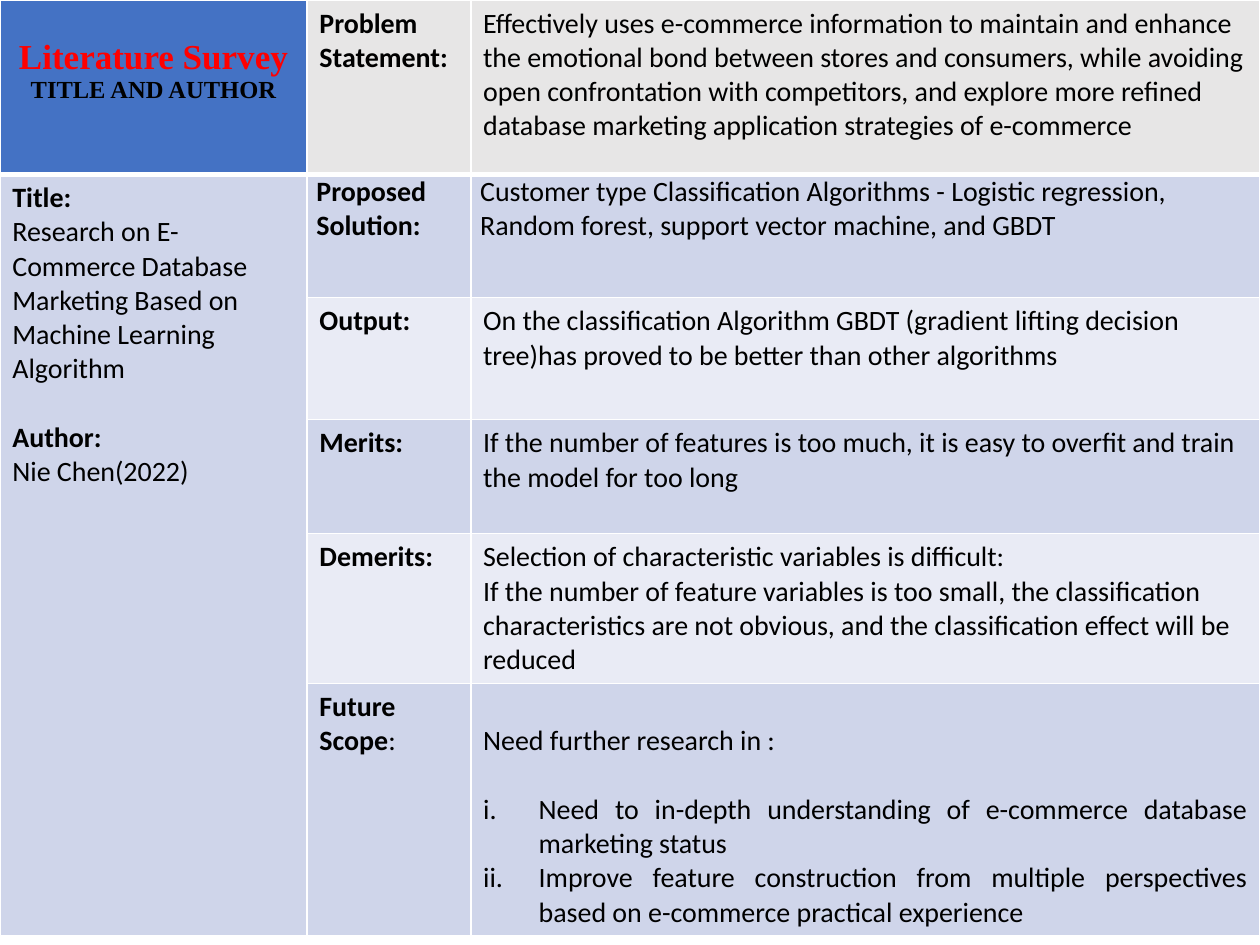
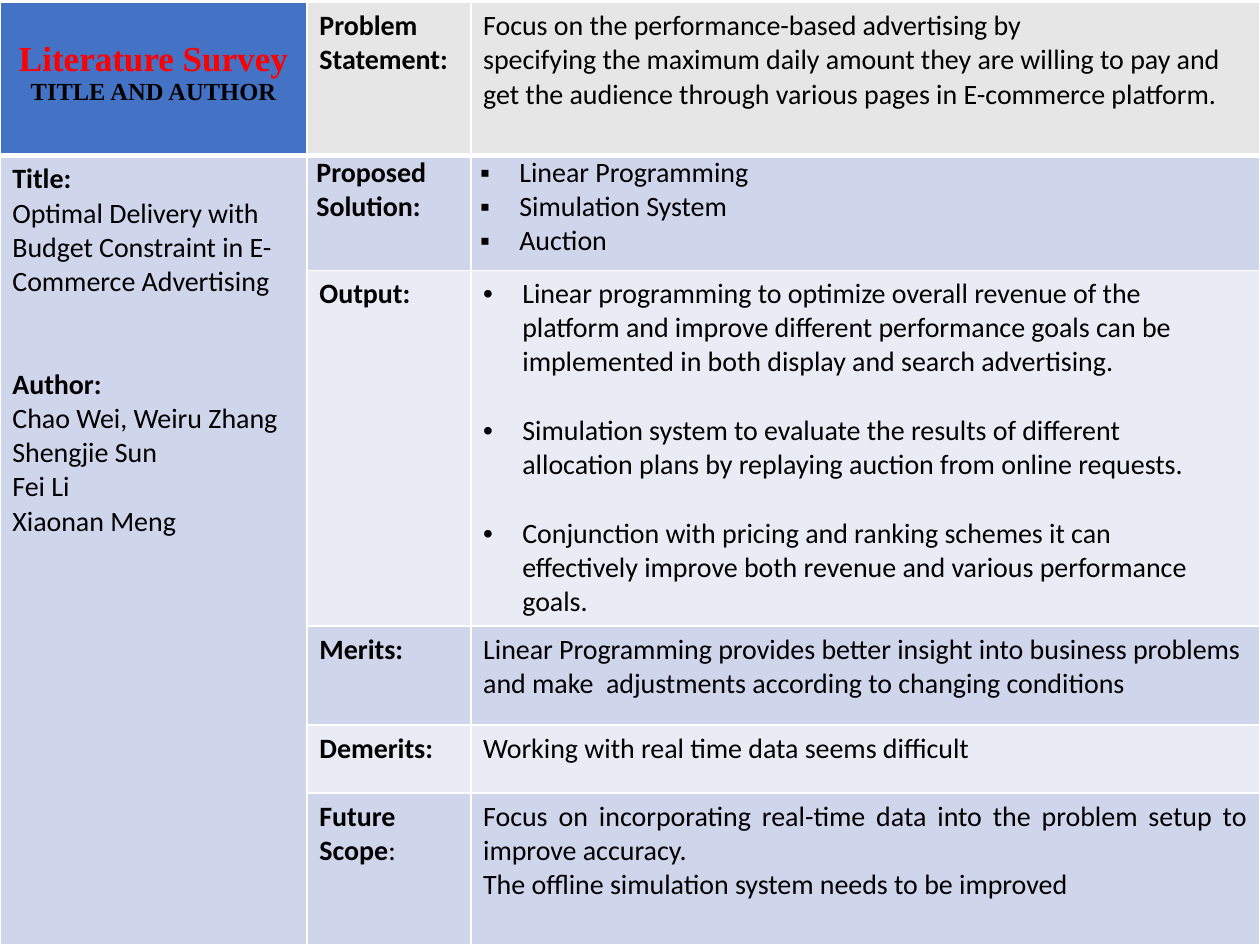
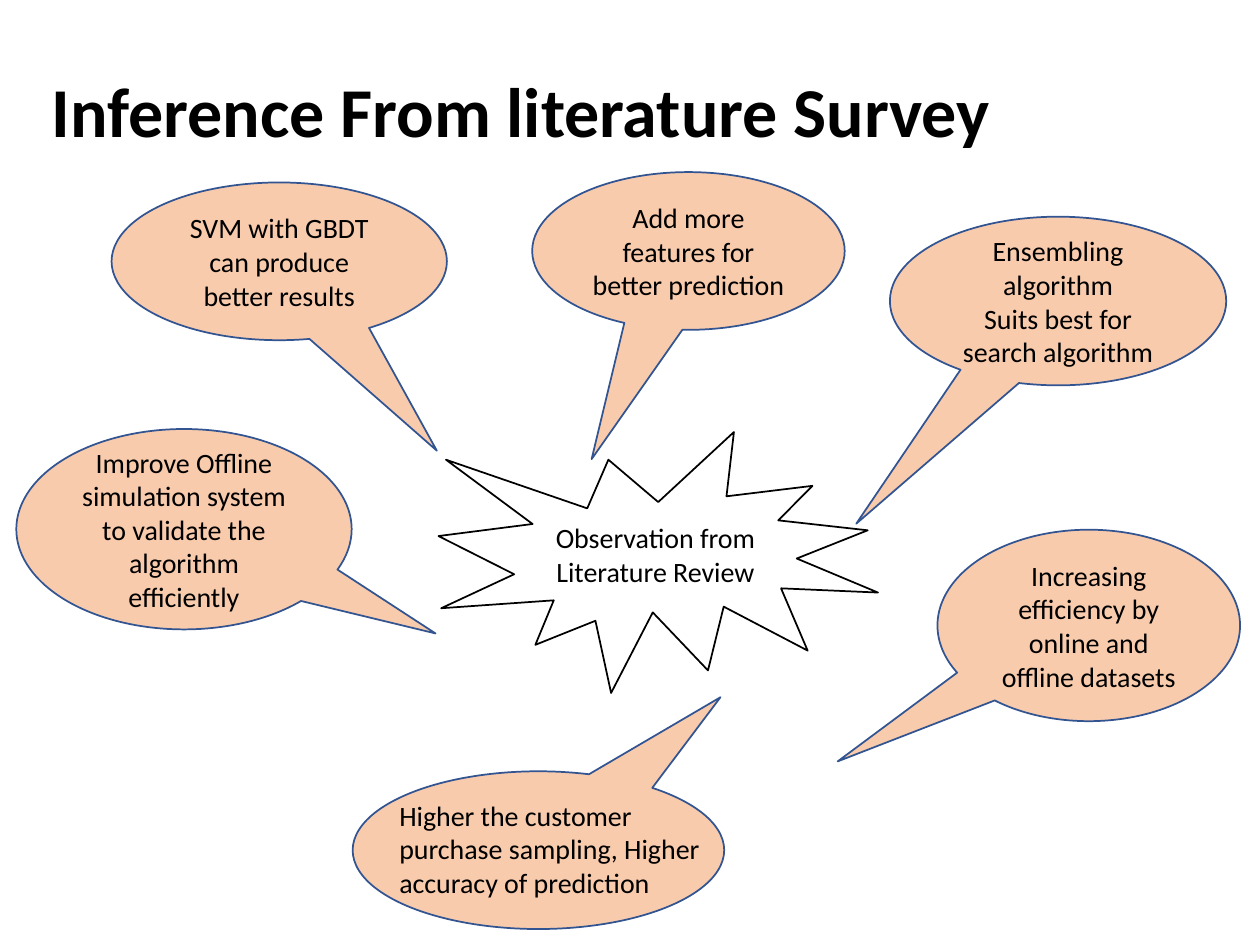
from lxml import etree
from pptx import Presentation
from pptx import util as u
from pptx.dml.color import RGBColor
from pptx.enum import shapes, text
from pptx.oxml import ns

BLACK = RGBColor(0x00, 0x00, 0x00)
WHITE = RGBColor(0xFF, 0xFF, 0xFF)
RED = RGBColor(0xFF, 0x00, 0x00)
BLUE = RGBColor(0x44, 0x72, 0xC4)
GREY = RGBColor(0xE7, 0xE6, 0xE6)
BAND_DARK = RGBColor(0xCF, 0xD5, 0xEA)
BAND_LIGHT = RGBColor(0xE9, 0xEB, 0xF5)
PEACH = RGBColor(0xF8, 0xCB, 0xAD)
NAVY = RGBColor(0x32, 0x54, 0x91)

CENTER = text.PP_ALIGN.CENTER
JUSTIFY = text.PP_ALIGN.JUSTIFY
HARD_SPACE = chr(160)
LINE = 0.69  # height of one 16 pt line, in cm
COLUMNS = (6.19, 3.3, 15.91)
SQUARES = {"bullet": "▪", "indent": 0.79}
DOTS = {"bullet": "•", "indent": 0.79}
ROMAN = {"bullet": "roman", "indent": 1.12, "align": JUSTIFY}


def write(frame, words, size=16, bold=False, color=BLACK, font="Calibri",
          align=None, before=0, spacing=None, bullet=None, indent=0, tail=""):
    """Add a paragraph; ~ joins words that stay on one line, tail is regular."""
    first = frame.paragraphs[0]
    para = frame.add_paragraph() if first.runs else first
    para.alignment = align
    para.space_before = u.Cm(before)
    if spacing:
        para.line_spacing = spacing
    for part, weight in ((words, bold), (tail, False)):
        if part:
            span = para.add_run()
            span.text = part.replace("~", HARD_SPACE)
            span.font.size = u.Pt(size)
            span.font.bold = weight
            span.font.name = font
            span.font.color.rgb = color
    if bullet:
        add_bullet(para, bullet, indent)


def add_bullet(para, bullet, indent):
    props = para._p.get_or_add_pPr()
    props.set("marL", str(u.Cm(indent)))
    props.set("indent", str(-u.Cm(indent)))
    if bullet == "roman":
        etree.SubElement(props, ns.qn("a:buAutoNum"), type="romanLcPeriod")
    else:
        etree.SubElement(props, ns.qn("a:buFont"), typeface="Arial")
        etree.SubElement(props, ns.qn("a:buChar"), char=bullet)


def add_borders(cell, bottom):
    """Draw white 1 pt borders, with the given width at the bottom."""
    props = cell._tc.get_or_add_tcPr()
    for side, width in (("L", 1), ("R", 1), ("T", 1), ("B", bottom)):
        line = etree.SubElement(props, ns.qn(f"a:ln{side}"), w=str(u.Pt(width)))
        fill = etree.SubElement(line, ns.qn("a:solidFill"))
        etree.SubElement(fill, ns.qn("a:srgbClr"), val=str(WHITE))


class Survey:
    """Holds the deck, its shared style and the current slide."""

    def __init__(self):
        self.deck = Presentation()
        self.deck.slide_width = u.Cm(25.4)
        self.deck.slide_height = u.Cm(19.05)
        self.slide = None

    def new_slide(self):
        self.slide = self.deck.slides.add_slide(self.deck.slide_layouts[6])

    def text_box(self, place, words, anchor=text.MSO_ANCHOR.TOP, **style):
        box = self.slide.shapes.add_textbox(*map(u.Cm, place))
        box.text_frame.word_wrap = True
        box.text_frame.vertical_anchor = anchor
        write(box.text_frame, words, **style)

    def shape(self, kind, place, lines, fill, outline, tip=()):
        """Add a shape with centred lines; tip is where a callout points."""
        shape = self.slide.shapes.add_shape(kind, *map(u.Cm, place))
        for index, value in enumerate(tip):
            shape.adjustments[index] = value
        shape.shadow.inherit = False
        shape.fill.solid()
        shape.fill.fore_color.rgb = fill
        shape.line.color.rgb = outline
        shape.line.width = u.Pt(1)
        shape.text_frame.word_wrap = True
        shape.text_frame.vertical_anchor = text.MSO_ANCHOR.MIDDLE
        for words in lines:
            write(shape.text_frame, words, align=CENTER)

    def callout(self, place, tip, *lines):
        self.shape(shapes.MSO_SHAPE.OVAL_CALLOUT, place, lines, PEACH, NAVY, tip)

    def cell(self, cell, fill, lines, bottom=1, top=0.13, side=0.25, base=0.13):
        add_borders(cell, bottom)
        cell.fill.solid()
        cell.fill.fore_color.rgb = fill
        cell.margin_left = cell.margin_right = u.Cm(side)
        cell.margin_top, cell.margin_bottom = u.Cm(top), u.Cm(base)
        for words, style in lines:
            write(cell.text_frame, words, **style)

    def paper(self, top, heights, about, findings, future_top=0.13):
        """Add a slide with the table that sums up one paper."""
        self.new_slide()
        frame = self.slide.shapes.add_table(
            len(heights), len(COLUMNS), 0, u.Cm(top),
            u.Cm(sum(COLUMNS)), u.Cm(sum(heights)))
        table = frame.table
        for column, width in zip(table.columns, COLUMNS):
            column.width = u.Cm(width)
        for row, height in zip(table.rows, heights):
            row.height = u.Cm(height)

        heading = {"font": "Times New Roman", "bold": True, "align": CENTER}
        self.cell(table.cell(0, 0), BLUE, [
            ("Literature Survey", {**heading, "size": 20, "color": RED}),
            ("TITLE AND AUTHOR", {**heading, "size": 14}),
        ], bottom=3, top=0.76)
        table.cell(1, 0).merge(table.cell(len(heights) - 1, 0))
        self.cell(table.cell(1, 0), BAND_DARK, about)

        labels = ("Problem Statement:", "Proposed Solution:", "Output:",
                  "Merits:", "Demerits:", "Future Scope")
        for index, (label, lines) in enumerate(zip(labels, findings)):
            fill = BAND_DARK if index % 2 else BAND_LIGHT
            layout = {}
            if index == 0:
                fill, layout = GREY, {"bottom": 3}
            elif index == 1:
                layout = {"side": 0.19, "top": 0, "base": 0}
            tail = ":" if label == "Future Scope" else ""
            self.cell(table.cell(index, 1), fill,
                      [(label, {"bold": True, "tail": tail})], **layout)
            if tail:
                layout = {"top": future_top}
            self.cell(table.cell(index, 2), fill, lines, **layout)


def main():
    survey = Survey()
    bold = {"bold": True}

    survey.paper(
        0, (3.52, 2.48, 2.46, 2.3, 3.02, 5.08),
        [("Title:", bold),
         ("Research on E-Commerce Database Marketing Based on Machine Learning "
          "Algorithm", {}),
         ("Author:", {**bold, "before": LINE}),
         ("Nie Chen(2022)", {})],
        [[("Effectively uses e-commerce information to maintain and enhance the "
           "emotional bond between stores and consumers, while avoiding open "
           "confrontation with competitors, and explore more refined database "
           "marketing application strategies of e-commerce", {})],
         [("Customer type Classification Algorithms - Logistic regression, "
           "Random forest, support vector machine, and GBDT", {})],
         [("On the classification Algorithm GBDT (gradient lifting decision "
           "tree)has proved to be better than other algorithms", {})],
         [("If the number of features is too much, it is easy to overfit and "
           "train the model for too long", {})],
         [("Selection of characteristic variables is difficult:", {}),
          ("If the number of feature variables is too small, the classification "
           "characteristics are not obvious, and the classification effect will "
           "be reduced", {})],
         [("Need further research in :", {"align": JUSTIFY}),
          ("Need to in-depth understanding of e-commerce database marketing "
           "status", {**ROMAN, "before": LINE}),
          ("Improve feature construction from multiple perspectives based on "
           "e-commerce practical experience", ROMAN)]],
        future_top=0.13 + LINE)

    survey.paper(
        0.05, (3.09, 2.31, 7.17, 2, 1.37, 3.06),
        [("Title:", bold),
         ("Optimal Delivery with Budget Constraint in E-Commerce Advertising", {}),
         ("Author:", {**bold, "before": 2 * LINE}),
         ("Chao Wei, Weiru Zhang Shengjie Sun", {}),
         ("Fei Li", {}),
         ("Xiaonan Meng", {})],
        [[("Focus on the performance-based advertising by "
           "specifying~the~maximum daily amount they are willing to pay and "
           "get~the~audience through various pages in E-commerce platform.", {})],
         [(words, SQUARES) for words in
          ("Linear Programming", "Simulation System", "Auction")],
         [("Linear programming to optimize overall revenue of the "
           "platform~and improve different performance goals can be "
           "implemented~in both display and search advertising.", DOTS),
          ("Simulation system to evaluate the results of different "
           "allocation~plans by replaying auction from online requests.",
           {**DOTS, "before": LINE}),
          ("Conjunction with pricing and ranking schemes it can "
           "effectively~improve both revenue and various performance goals.",
           {**DOTS, "before": LINE})],
         [("Linear Programming provides better insight into business problems "
           "and make~ adjustments according to changing conditions", {})],
         [("Working with real time data seems difficult", {})],
         [("Focus on incorporating real-time data into the problem setup to "
           "improve accuracy.", {"align": JUSTIFY}),
          ("The offline simulation system needs to be improved",
           {"align": JUSTIFY})]])

    survey.new_slide()
    survey.text_box((0.79, 0.48, 21.9, 3.68), "Inference From literature Survey",
                    anchor=text.MSO_ANCHOR.MIDDLE, size=40, bold=True, spacing=0.9)
    survey.shape(shapes.MSO_SHAPE.EXPLOSION1, (8.84, 8.71, 8.86, 5.26),
                 ("Observation from", "Literature Review"), WHITE, BLACK)
    survey.callout((10.73, 3.47, 6.3, 3.18), (-0.31, 1.32),
                   "Add more features for better prediction")
    survey.callout((0.33, 8.65, 6.76, 4.04), (0.75, 0.52),
                   "Improve Offline simulation system to validate the algorithm "
                   "efficiently")
    survey.callout((7.11, 15.55, 7.49, 3.18), (0.49, -0.97))
    survey.callout((17.94, 4.37, 6.78, 3.4), (-0.6, 1.32),
                   "Ensembling algorithm", "Suits best for search algorithm")
    survey.callout((18.9, 10.68, 6.1, 3.86), (-0.83, 0.71),
                   "Increasing efficiency by online and offline datasets")
    survey.callout((2.25, 3.68, 6.76, 3.18), (0.47, 1.2),
                   "SVM with GBDT can produce better results")
    survey.text_box((7.8, 15.97, 6.78, 2.31),
                    "Higher the customer purchase sampling, Higher accuracy of "
                    "prediction")

    survey.deck.save("out.pptx")


if __name__ == "__main__":
    main()
